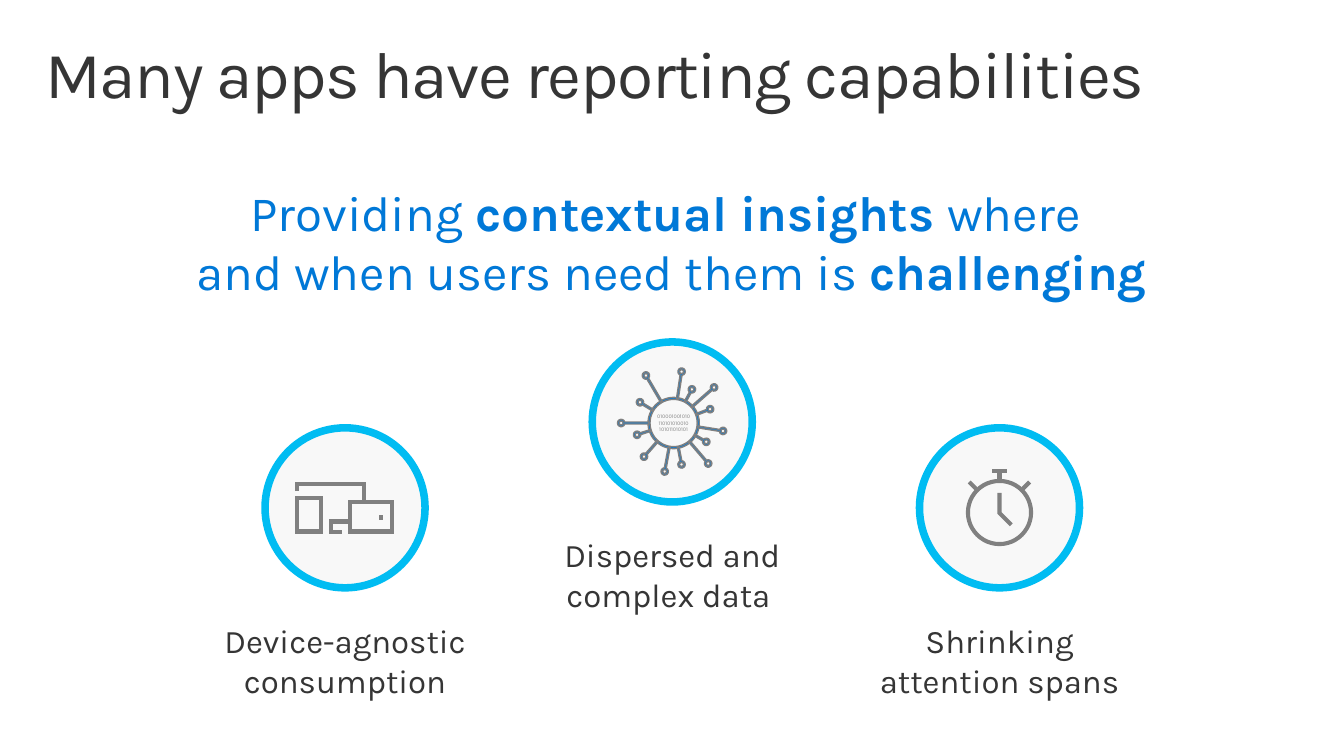
"""Build a slide on why contextual insights are challenging to provide."""
import dataclasses
import math

import lxml.etree
import pptx
import pptx.dml.color
import pptx.enum.shapes
import pptx.enum.text
import pptx.oxml.ns
import pptx.util

Pt = pptx.util.Pt
KIND = pptx.enum.shapes.MSO_SHAPE


@dataclasses.dataclass(frozen=True)
class Theme:
    font: str = "Karla"
    ink: str = "353535"
    blue: str = "0078D7"
    ring: str = "00BCF2"
    disc: str = "F8F8F8"
    gray: str = "808080"
    title: float = 48
    lead: float = 36
    label: float = 24
    code: float = 4
    pen: float = 3
    thin: float = 1
    edge: float = 5.5


THEME = Theme()


def color(code):
    return pptx.dml.color.RGBColor.from_string(code)


def stroke(shape, tint, width):
    shape.line.color.rgb = color(tint)
    shape.line.width = Pt(width)
    join = lxml.etree.SubElement(
        shape.line._get_or_add_ln(), pptx.oxml.ns.qn("a:miter"))
    join.set("lim", "800000")


def style(shape, tint, width, fill):
    shape.shadow.inherit = False
    if fill:
        shape.fill.solid()
        shape.fill.fore_color.rgb = color(fill)
    else:
        shape.fill.background()
    stroke(shape, tint, width)


def block(slide, kind, box, tint, width, fill=None):
    shape = slide.shapes.add_shape(kind, *map(Pt, box))
    style(shape, tint, width, fill)
    return shape


def disc(slide, x, y, r, tint, width, fill=None, kind=KIND.OVAL):
    box = (x - r, y - r, 2 * r, 2 * r)
    return block(slide, kind, box, tint, width, fill)


def line(slide, x, y, start, end):
    ends = (x + start[0], y + start[1], x + end[0], y + end[1])
    link = slide.shapes.add_connector(
        pptx.enum.shapes.MSO_CONNECTOR.STRAIGHT, *map(Pt, ends))
    stroke(link, THEME.gray, THEME.pen)
    lxml.etree.SubElement(
        link._element.spPr, pptx.oxml.ns.qn("a:effectLst"))


def trace(slide, x, y, paths, width=THEME.pen, fill=None):
    spots = [[(Pt(x + a), Pt(y + b)) for a, b in dots] for dots in paths]
    build = slide.shapes.build_freeform(*spots[0][0])
    for i, dots in enumerate(spots):
        if i:
            build.move_to(*dots[0])
        build.add_line_segments(dots[1:], close=bool(fill))
    style(build.convert_to_shape(), THEME.gray, width, fill)


def text(slide, box, words, size, tint, center=True):
    frame = slide.shapes.add_textbox(*map(Pt, box)).text_frame
    frame.word_wrap = True
    frame.margin_left = frame.margin_right = 0
    frame.margin_top = frame.margin_bottom = 0
    para = frame.paragraphs[0]
    align = pptx.enum.text.PP_ALIGN
    para.alignment = align.CENTER if center else align.LEFT
    for i, part in enumerate(words.split("|")):
        for j, row in enumerate(part.split("\n")):
            if j:
                para.add_line_break()
            run = para.add_run()
            run.text = row
            run.font.name = THEME.font
            run.font.size = Pt(size)
            run.font.bold = i % 2 == 1
            run.font.color.rgb = color(tint)
    return para


def title(slide, words):
    para = text(slide, (33.1, 30.2, 913, 57.6), words, THEME.title,
                THEME.ink, center=False)
    para.line_spacing = 0.9
    para.runs[0].font._element.set("spc", "-100")


def screens(slide, x, y):
    for left, top, wide, high in ((-34.7, -7.2, 17.3, 24.5),
                                  (3.5, -4.3, 31, 21.6)):
        block(slide, KIND.RECTANGLE, (x + left, y + top, wide, high),
              THEME.gray, THEME.pen)
    line(slide, x, y, (26.5, 8.6), (26.5, 5))
    trace(slide, x, y, [[(3.5, 10), (-10.2, 10), (-10.2, 17.3),
                         (-2.2, 17.3)]])
    trace(slide, x, y, [[(-34.7, -12.2), (-34.7, -17.3),
                         (13.6, -17.3), (13.6, -4.3)]])


def spoke(slide, x, y, a, b):
    far, turn = math.hypot(a, b), math.atan2(b, a)

    def spin(u, v):
        return (u * math.cos(turn) - v * math.sin(turn),
                u * math.sin(turn) + v * math.cos(turn))

    def arc(r, first, last, count):
        steps = (first + (last - first) * i / count for i in range(count + 1))
        return [spin(far + r * math.cos(t), r * math.sin(t)) for t in steps]

    rim = arc(2.7, 0.27 - math.pi, math.pi - 0.27, 12)
    hole = arc(1.4, 0, 2 * math.pi, 10)[:-1]
    stem = [spin(18, 0.7), spin(18, -0.7)]
    trace(slide, x, y, [stem + rim, hole], THEME.thin, THEME.blue)


def hub(slide, x, y):
    x, y = x + 1, y + 0.8
    ring = disc(slide, x, y, 18.7, THEME.gray, THEME.thin, THEME.blue,
                KIND.DONUT)
    ring.adjustments[0] = 0.04
    for a, b in ((-26.6, 8.6), (23.8, 13.7), (26.6, -10.1), (25.2, 29.5),
                 (-21.6, 24.5), (36, 5.8), (29.5, -25.9), (-24.5, -15.1),
                 (13.3, -24.5), (-6.5, 35.3), (-20.2, -34.6), (-38.2, 0),
                 (5.8, 30.2), (5.8, -37.4)):
        spoke(slide, x, y, a, b)
    text(slide, (x - 18, y - 7.2, 36, 14.4),
         "010001001010\n110101010010\n101011010101", THEME.code, THEME.gray)


def watch(slide, x, y):
    y += 3.4
    disc(slide, x, y, 23, THEME.gray, THEME.pen)
    trace(slide, x, y, [[(-5.2, -30.3), (5.2, -30.3)],
                        [(0, -30), (0, -23)],
                        [(-22, -22.2), (-17, -17.2)],
                        [(22, -22.2), (17, -17.2)]])
    trace(slide, x, y, [[(0, -14.2), (0, 0.4), (8.6, 9)]])


def main():
    deck = pptx.Presentation()
    deck.slide_width, deck.slide_height = Pt(979.2), Pt(550.8)
    slide = deck.slides.add_slide(deck.slide_layouts[6])
    title(slide, "Many apps have reporting capabilities")
    text(slide, (118.1, 132.5, 742.3, 87.1),
         "Providing |contextual insights |where \n"
         "and when users need them is |challenging",
         THEME.lead, THEME.blue)
    items = ((screens, 370, "Device-agnostic\nconsumption"),
             (hub, 307.4, "Dispersed and\ncomplex data "),
             (watch, 370, "Shrinking\nattention spans"))
    for i, (icon, y, words) in enumerate(items):
        x = 251.4 + 238.4 * i
        disc(slide, x, y, 58.3, THEME.ring, THEME.edge, THEME.disc)
        icon(slide, x, y)
        text(slide, (x - 110, y + 82.1, 220, 60), words,
             THEME.label, THEME.ink)
    deck.save("out.pptx")


if __name__ == "__main__":
    main()
